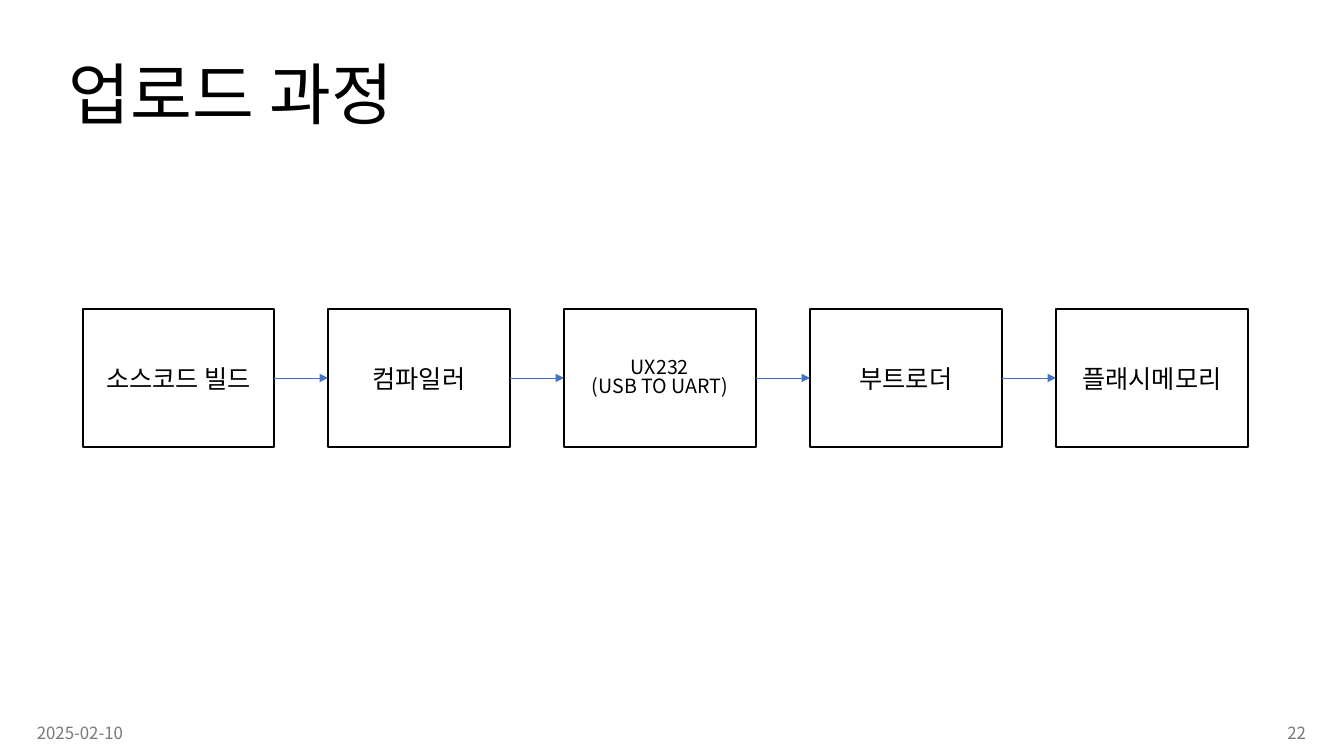
from pptx import Presentation, util as u
from pptx.dml.color import RGBColor
from pptx.enum import shapes, text
from pptx.oxml.ns import qn
from lxml import etree

PX = 914400 / 100.8
FONT = "Noto Sans CJK KR"


def px(length):
    return u.Emu(round(length * PX))


def write(shape, lines, size, color, align, spacing=1.0):
    frame = shape.text_frame
    frame.word_wrap = True
    frame.vertical_anchor = text.MSO_ANCHOR.MIDDLE
    for index, line in enumerate(lines):
        paragraph = frame.add_paragraph() if index else frame.paragraphs[0]
        paragraph.alignment = align
        paragraph.line_spacing = spacing
        run = paragraph.add_run()
        run.text = line
        run.font.size = u.Pt(size)
        run.font.name = FONT
        run.font.color.rgb = RGBColor.from_string(color)
        east_asian = etree.SubElement(run._r.get_or_add_rPr(), qn("a:ea"))
        east_asian.set("typeface", FONT)


presentation = Presentation()
presentation.slide_width, presentation.slide_height = px(1344), px(756)
slide = presentation.slides.add_slide(presentation.slide_layouts[6])

# Title, slide number and date
LEFT, RIGHT = text.PP_ALIGN.LEFT, text.PP_ALIGN.RIGHT
for left, top, width, height, words, size, color, align, spacing in [
    (59, 25, 1159, 146, "업로드 과정", 48, "000000", LEFT, 0.9),
    (1014, 713, 302, 40, "22", 12, "797979", RIGHT, 1.0),
    (27, 713, 302, 40, "2025-02-10", 12, "797979", LEFT, 1.0),
]:
    box = slide.shapes.add_textbox(px(left), px(top), px(width), px(height))
    write(box, [words], size, color, align, spacing)

# Upload steps, laid out left to right with equal gaps
steps = [
    (191, 18, ["소스코드 빌드"]),
    (182, 18, ["컴파일러"]),
    (192, 14, ["UX232", "(USB TO UART)"]),
    (192, 18, ["부트로더"]),
    (192, 18, ["플래시메모리"]),
]
GAP = 54
left = 83
step_boxes = []
for width, size, lines in steps:
    step = slide.shapes.add_shape(
        shapes.MSO_SHAPE.RECTANGLE, px(left), px(309), px(width), px(138))
    step.shadow.inherit = False
    step.fill.solid()
    step.fill.fore_color.rgb = RGBColor.from_string("FFFFFF")
    step.line.color.rgb = RGBColor.from_string("000000")
    step.line.width = u.Pt(1)
    spacing = 0.81 if len(lines) > 1 else 1.0
    write(step, lines, size, "000000", text.PP_ALIGN.CENTER, spacing)
    step_boxes.append(step)
    left += width + GAP

# Arrows between neighbouring steps
for source, target in zip(step_boxes, step_boxes[1:]):
    arrow = slide.shapes.add_connector(shapes.MSO_CONNECTOR.STRAIGHT, 0, 0, 0, 0)
    arrow.begin_connect(source, 3)
    arrow.end_connect(target, 1)
    arrow.line.color.rgb = RGBColor.from_string("4472C4")
    arrow.line.width = u.Pt(0.5)
    etree.SubElement(arrow.line._get_or_add_ln(), qn("a:tailEnd")).set("type", "triangle")
    etree.SubElement(arrow._element.spPr, qn("a:effectLst"))

presentation.save("out.pptx")
